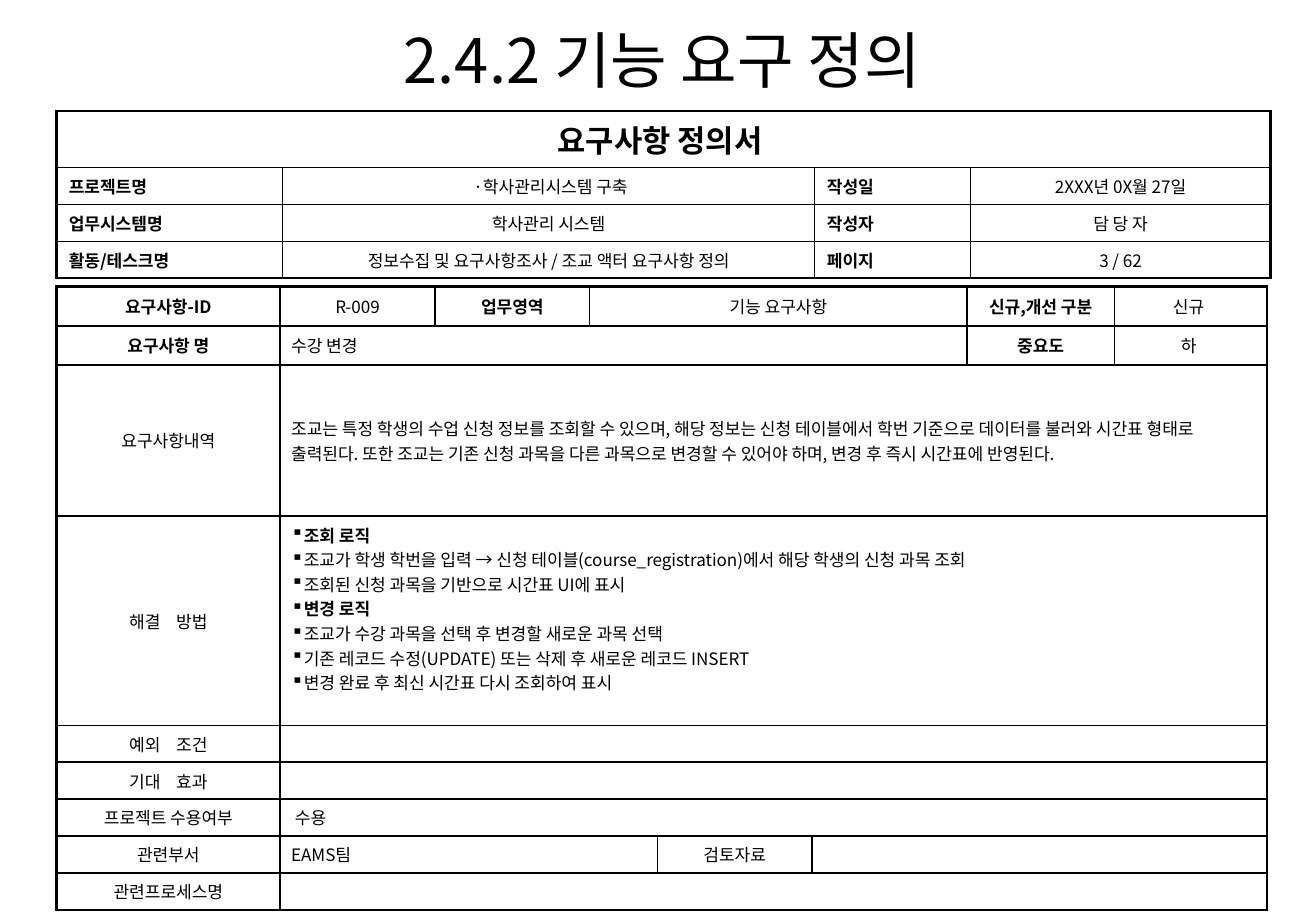
from dataclasses import dataclass

from lxml import etree
from pptx import Presentation
from pptx import util as u
from pptx.dml.color import RGBColor
from pptx.enum import text as t
from pptx.oxml.ns import qn


@dataclass(frozen=True)
class Theme:
    font: str = "Noto Sans CJK KR"
    ink: str = "000000"
    paper: str = "FFFFFF"
    title: int = 36
    heading: int = 18
    body: int = 10
    thin: float = 1
    thick: float = 1.5
    word_gap: float = 7


@dataclass(frozen=True)
class Style:
    align: int = t.PP_ALIGN.CENTER
    bold: bool = False
    size: int = Theme.body
    spread: bool = False  # wide gap between the two words of a label


THEME = Theme()
VALUE = Style()
HEAD = Style(bold=True)
FIELD = Style(align=t.PP_ALIGN.JUSTIFY, bold=True)
BANNER = Style(bold=True, size=THEME.heading)
NOTE = Style(align=t.PP_ALIGN.LEFT)
SPREAD = Style(spread=True)

WIDTH, HEIGHT = 10.71, 7.5
LEFT = 0.46

# Each cell: text, style, number of columns
PROJECT_ROWS = [
    [("요구사항 정의서 ", BANNER, 4)],
    [("프로젝트명", FIELD, 1), (" ·학사관리시스템 구축", VALUE, 1),
     ("작성일", FIELD, 1), ("2XXX년 0X월 27일", VALUE, 1)],
    [("업무시스템명 ", FIELD, 1), ("학사관리 시스템", VALUE, 1),
     ("작성자", FIELD, 1), ("담 당 자", VALUE, 1)],
    [("활동/테스크명", FIELD, 1),
     ("정보수집 및 요구사항조사 / 조교 액터 요구사항 정의", VALUE, 1),
     ("페이지", FIELD, 1), ("3 / 62", VALUE, 1)],
]
DETAIL = (
    "조교는 특정 학생의 수업 신청 정보를 조회할 수 있으며, 해당 정보는 신청 테이블에서 "
    "학번 기준으로 데이터를 불러와 시간표 형태로 출력된다. 또한 조교는 기존 신청 과목을 "
    "다른 과목으로 변경할 수 있어야 하며, 변경 후 즉시 시간표에 반영된다."
)
# Each list item: text, bold
SOLUTION = [
    ("조회 로직", True),
    ("조교가 학생 학번을 입력 → 신청 테이블(course_registration)에서 해당 학생의 신청 과목 조회", False),
    ("조회된 신청 과목을 기반으로 시간표 UI에 표시", False),
    ("변경 로직", True),
    ("조교가 수강 과목을 선택 후 변경할 새로운 과목 선택", False),
    ("기존 레코드 수정(UPDATE) 또는 삭제 후 새로운 레코드 INSERT", False),
    ("변경 완료 후 최신 시간표 다시 조회하여 표시", False),
]
REQUIREMENT_ROWS = [
    [("요구사항-ID", HEAD, 1), ("R-009", VALUE, 1), ("업무영역", HEAD, 1),
     ("기능 요구사항", VALUE, 3), ("신규,개선 구분", HEAD, 1), ("신규 ", VALUE, 1)],
    [("요구사항 명", HEAD, 1), ("수강 변경", NOTE, 5),
     ("중요도", HEAD, 1), ("하 ", VALUE, 1)],
    [("요구사항내역", VALUE, 1), (DETAIL, NOTE, 7)],
    [("해결 방법", SPREAD, 1), (SOLUTION, NOTE, 7)],
    [("예외 조건", SPREAD, 1), ("", NOTE, 7)],
    [("기대 효과", SPREAD, 1), ("", NOTE, 7)],
    [("프로젝트 수용여부", VALUE, 1), (" 수용", NOTE, 7)],
    [("관련부서", VALUE, 1), ("EAMS팀", NOTE, 3), ("검토자료", VALUE, 1), ("", NOTE, 3)],
    [("관련프로세스명", VALUE, 1), ("", NOTE, 7)],
]


def add_span(para, words, size, bold=False):
    span = para.add_run()
    span.text = words
    span.font.name = THEME.font
    span.font.size = u.Pt(size)
    span.font.bold = bold
    span.font.color.rgb = RGBColor.from_string(THEME.ink)
    properties = span.font._element
    etree.SubElement(properties, qn("a:ea"), typeface=THEME.font)
    return properties


def add_bullet(para):
    properties = para._p.get_or_add_pPr()
    properties.set("marL", "0")
    properties.set("indent", "0")
    etree.SubElement(properties, qn("a:buChar"), char="▪")


def draw_borders(cell, widths):
    properties = cell._tc.get_or_add_tcPr()
    for side, width in zip("LRTB", widths):
        line = etree.SubElement(properties, qn(f"a:ln{side}"), w=str(u.Pt(width)))
        fill = etree.SubElement(line, qn("a:solidFill"))
        etree.SubElement(fill, qn("a:srgbClr"), val=THEME.ink)


def write_cell(cell, content, style):
    frame = cell.text_frame
    if isinstance(content, list):
        for number, (words, bold) in enumerate(content):
            para = frame.add_paragraph() if number else frame.paragraphs[0]
            para.alignment = style.align
            add_bullet(para)
            add_span(para, words, style.size, bold)
        cell.margin_bottom = u.Inches(0.25)
        return
    para = frame.paragraphs[0]
    para.alignment = style.align
    if style.spread:
        first, gap, last = content.partition(" ")
        add_span(para, first, style.size)
        add_span(para, gap, style.size).set("spc", str(int(THEME.word_gap * 100)))
        add_span(para, last, style.size)
    elif content:
        add_span(para, content, style.size, style.bold)
    else:
        etree.SubElement(para._p, qn("a:endParaRPr"), sz=str(style.size * 100))


def add_form(page, top, columns, heights, rows, side_margin, heavy_lines, top_rows=()):
    """Draw a form; heavy_lines holds the numbers of the thick horizontal lines."""
    frame = page.shapes.add_table(
        len(heights), len(columns), u.Inches(LEFT), u.Inches(top),
        u.Inches(sum(columns)), u.Inches(sum(heights)))
    table = frame.table
    table.first_row = table.horz_banding = False
    for column, width in zip(table.columns, columns):
        column.width = u.Inches(width)
    for row, height in zip(table.rows, heights):
        row.height = u.Inches(height)

    def weight(heavy):
        return THEME.thick if heavy else THEME.thin

    for y, cells in enumerate(rows):
        x = 0
        for content, style, count in cells:
            cell = table.cell(y, x)
            if count > 1:
                cell.merge(table.cell(y, x + count - 1))
            end = x + count
            draw_borders(cell, (weight(x == 0), weight(end == len(columns)),
                                weight(y in heavy_lines), weight(y + 1 in heavy_lines)))
            cell.fill.solid()
            cell.fill.fore_color.rgb = RGBColor.from_string(THEME.paper)
            cell.margin_left = cell.margin_right = u.Inches(side_margin)
            cell.margin_top = cell.margin_bottom = u.Inches(0.05)
            cell.vertical_anchor = (t.MSO_ANCHOR.TOP if y in top_rows
                                    else t.MSO_ANCHOR.MIDDLE)
            write_cell(cell, content, style)
            x = end


def add_title(page, words):
    box = page.shapes.title
    box.left, box.top = u.Inches(1.83), u.Inches(0.07)
    box.width, box.height = u.Inches(7.12), u.Inches(1.44)
    frame = box.text_frame
    frame.word_wrap = True
    frame.auto_size = t.MSO_AUTO_SIZE.NONE
    frame.vertical_anchor = t.MSO_ANCHOR.TOP
    para = frame.paragraphs[0]
    para.alignment = t.PP_ALIGN.CENTER
    para.line_spacing = 1.1
    add_span(para, words, THEME.title)


def main():
    deck = Presentation()
    deck.slide_width, deck.slide_height = u.Inches(WIDTH), u.Inches(HEIGHT)
    page = deck.slides.add_slide(deck.slide_layouts[5])

    add_title(page, "2.4.2 기능 요구 정의")

    # Project details
    add_form(page, 0.9, [1.84, 4.33, 1.27, 2.44], [0.43] + [0.26] * 3,
             PROJECT_ROWS, 0.1, {0, 4}, top_rows=(1, 2, 3))

    # Requirement details
    add_form(page, 2.33, [1.82, 1.26, 1.26, 0.55, 1.26, 1.26, 1.2, 1.24],
             [0.32, 0.32, 1.23, 1.42] + [0.25] * 5,
             REQUIREMENT_ROWS, 0.09, {0, 1, 2, 9})

    deck.save("out.pptx")


if __name__ == "__main__":
    main()
